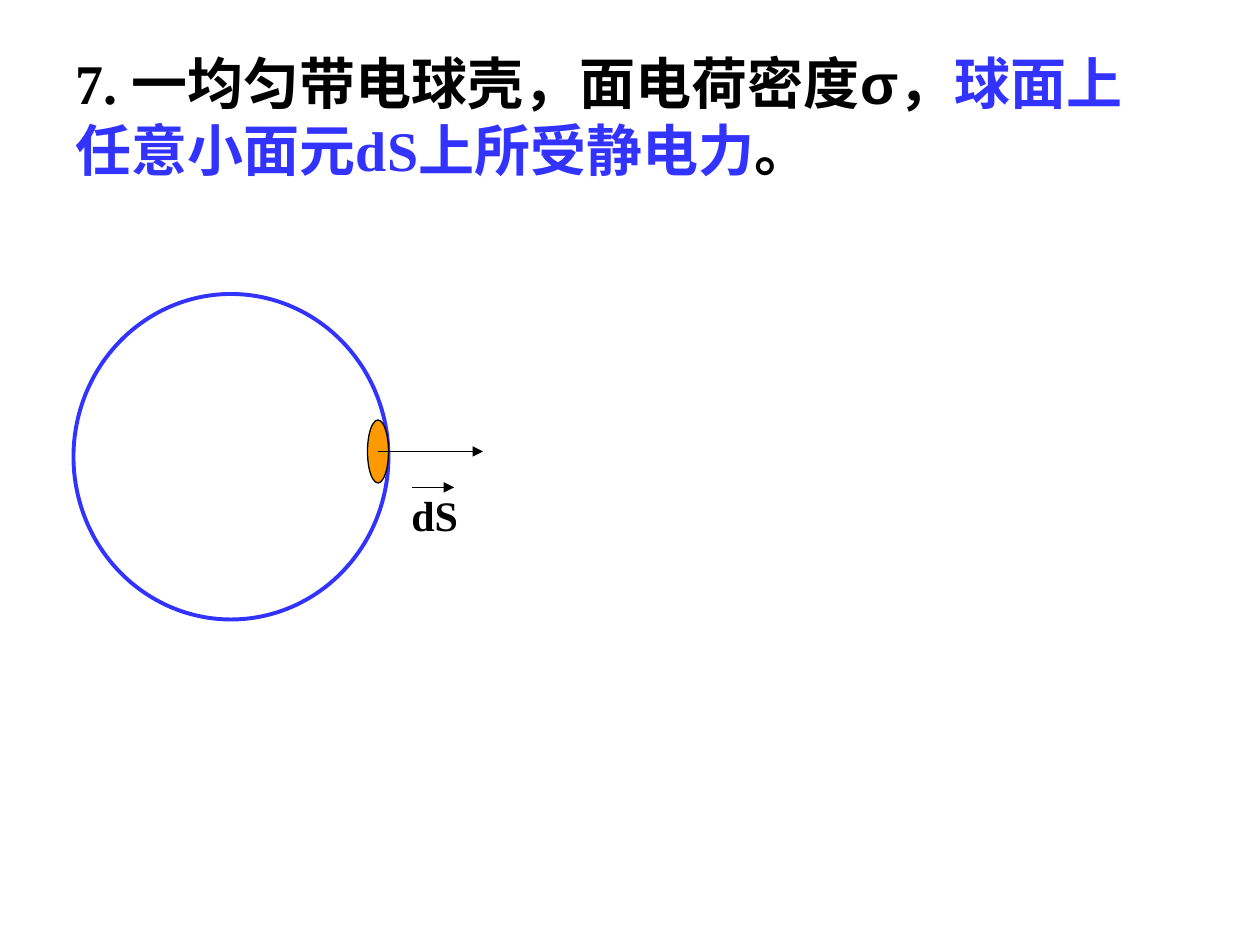
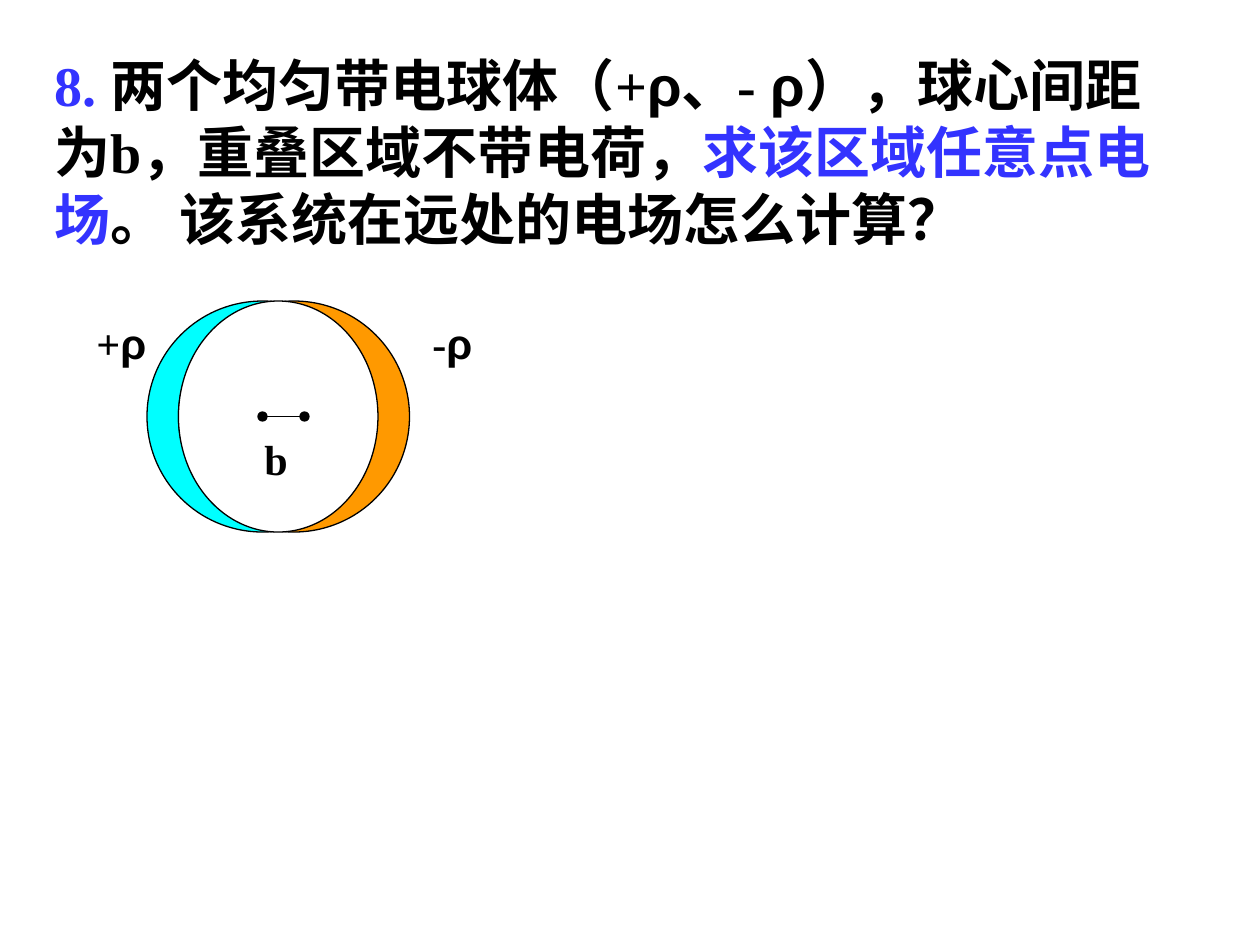
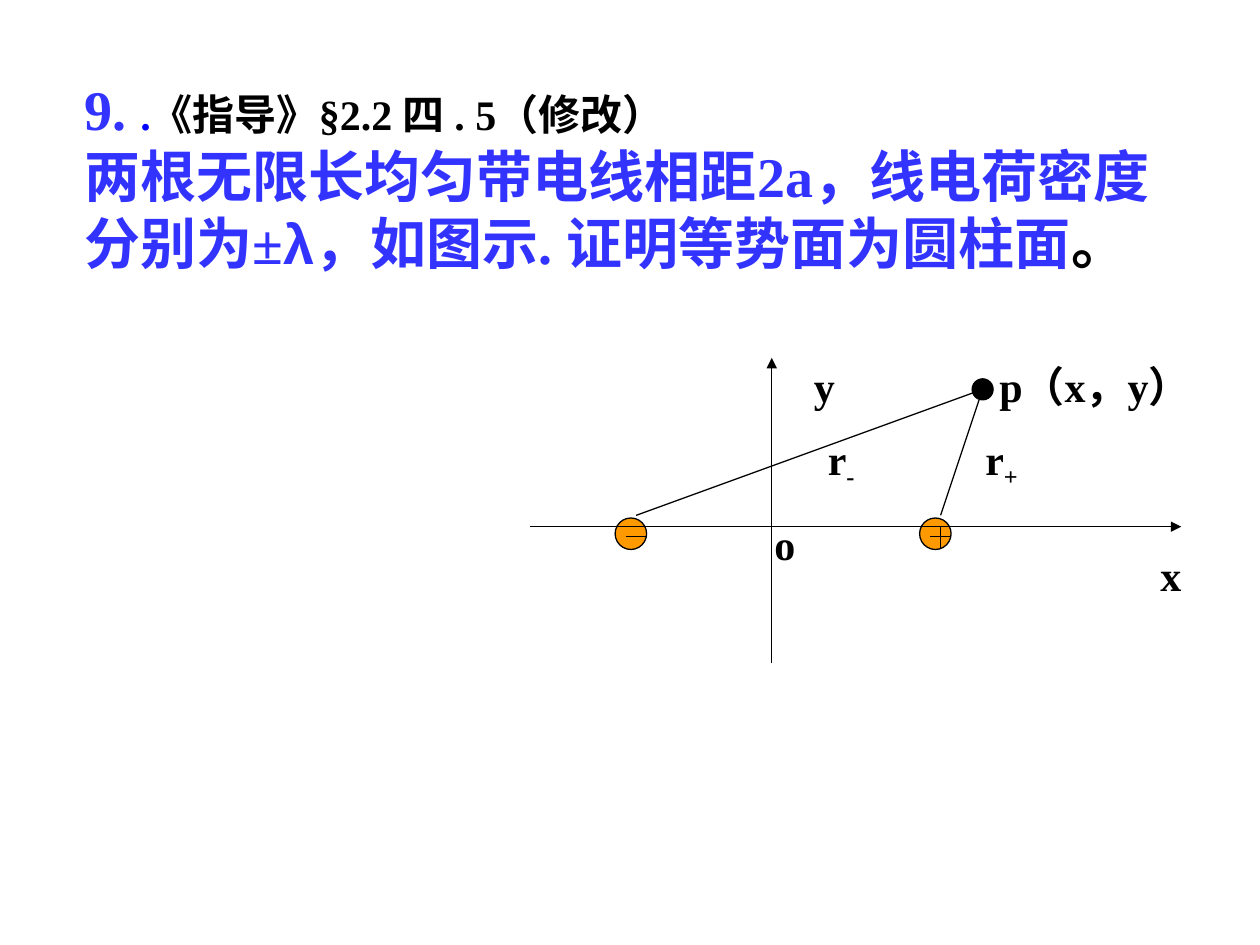
from lxml import etree
from pptx import Presentation
from pptx.dml.color import RGBColor
from pptx.enum.shapes import MSO_CONNECTOR, MSO_SHAPE
from pptx.enum.text import MSO_ANCHOR, MSO_AUTO_SIZE, PP_ALIGN
from pptx.oxml.ns import qn
from pptx.util import Pt

OVAL = MSO_SHAPE.OVAL
STRAIGHT = MSO_CONNECTOR.STRAIGHT
TOP = MSO_ANCHOR.TOP
LEFT = PP_ALIGN.LEFT
NO_FIT = MSO_AUTO_SIZE.NONE
GROW = MSO_AUTO_SIZE.SHAPE_TO_FIT_TEXT

COLORS = {
    "black": "000000",
    "blue": "3333FF",
    "deep blue": "0000FF",
    "orange": "FF9900",
    "cyan": "00FFFF",
    "white": "FFFFFF",
}
TITLE_SIZE, LABEL_SIZE = 32, 24
LATIN, GREEK = "Times New Roman", "Arial"
TITLE_FRAME = {"word_wrap": True, "auto_size": NO_FIT, "vertical_anchor": TOP}

BLUE = {"color": "blue"}
BLUE_GREEK = {"color": "blue", "name": GREEK}
BLACK_GREEK = {"name": GREEK}
SUBSCRIPT = {"baseline": "-25000"}
ARROW = {"tailEnd": "triangle"}
DOTS = {"headEnd": "oval", "tailEnd": "oval"}


def add_runs(paragraph, runs, size):
    """Add (text, format) runs; each format overrides the bold black default."""
    for text, changes in runs:
        style = {"name": LATIN, "size": size, "bold": True, "color": "black"} | changes
        run = paragraph.add_run()
        run.text = text
        run.font.color.rgb = RGBColor.from_string(COLORS[style.pop("color")])
        if "baseline" in style:
            run.font._element.set("baseline", style.pop("baseline"))
        style["size"] = Pt(style["size"])
        for attribute, value in style.items():
            setattr(run.font, attribute, value)


# Sphere shell with a surface element
shell_problem = {
    "title_box": (36, 24, 642, 84),
    "title": [[
        ("7. 一均匀带电球壳，面电荷密度", {}),
        ("σ", BLACK_GREEK),
        ("，", {}),
        ("球面上任意小面元dS上所受静电力", BLUE),
        ("。", {}),
    ]],
    # box, fill, line colour, line width
    "ellipses": [
        ((42, 168, 180, 186), None, "blue", 2.25),
        ((210, 240, 12, 36), "orange", "black", 0.75),
    ],
    # start and end, line ends
    "lines": [
        ((235.5, 278.5, 259.5, 278.5), ARROW),
        ((216, 258, 276, 258), ARROW),
    ],
    # box, wrap, runs
    "labels": [((228, 276, 41, 36), False, [("dS", {})])],
}

# Two overlapping charged balls
balls_problem = {
    "title_box": (24, 25, 660, 122),
    "title": [[
        ("8. ", BLUE),
        ("两个均匀带电球体（+", {}),
        ("ρ", BLACK_GREEK),
        ("、- ", {}),
        ("ρ", BLACK_GREEK),
        ("），球心间距为b，重叠区域不带电荷，", {}),
        ("求该区域任意点电场", BLUE),
        ("。 该系统在远处的电场怎么计算？", {}),
    ]],
    "ellipses": [
        ((84, 172, 132, 132), "cyan", "black", 0.75),
        ((102, 172, 132, 132), "orange", "black", 0.75),
        ((102, 172, 114, 132), "white", "black", 0.75),
    ],
    "lines": [((150, 238, 174, 238), DOTS)],
    "labels": [((144, 244, 27, 36), False, [("b", {})])] + [
        ((left, 178, 48, 36), True, [(sign, {}), ("ρ", BLACK_GREEK)])
        for left, sign in ((48, "+"), (240, "-"))
    ],
}

# Two line charges on the x axis, seen from point p
MINUS_X, PLUS_X = 351.5, 525.5
POINT_X, POINT_Y = 561.5, 222.5
wires_problem = {
    "title_box": (41, 39, 660, 122),
    "title": [
        [
            ("9. ", BLUE),
            (".", {"color": "deep blue", "size": LABEL_SIZE}),
            ("《指导》§2.2 四 . 5（修改）", {"size": LABEL_SIZE}),
        ],
        [
            ("两根无限长均匀带电线相距2a，线电荷密度 分别为±", BLUE),
            ("λ", BLUE_GREEK),
            ("，如图示. 证明等势面为圆柱面", BLUE),
            ("。", {}),
        ],
    ],
    "ellipses": [
        ((x, 296, 18, 18), "orange", "black", 0.75) for x in (MINUS_X, PLUS_X)
    ] + [((POINT_X - 6, POINT_Y - 6, 12, 12), "black", "black", 0.75)],
    "lines": [
        ((x + 6, 306.5, x + 18, 306.5), {}) for x in (MINUS_X, PLUS_X)
    ] + [
        ((PLUS_X + 12, 301, PLUS_X + 12, 313), {}),
        ((303, 301, 675, 301), ARROW),
        ((441, 379, 441, 204.5), ARROW),
    ] + [
        ((x + 12, 294.5, POINT_X, POINT_Y), {}) for x in (MINUS_X, PLUS_X)
    ],
    "labels": [
        ((458, 202.5, 26, 36), False, [("y", {})]),
        ((656, 310.5, 26, 36), False, [("x", {})]),
        ((564, 202.5, 153, 36), False, [("p（x，y）", {})]),
        ((556, 244, 33, 40), False, [("r", {}), ("+", SUBSCRIPT)]),
        ((466, 244, 30, 40), False, [("r", {}), ("-", SUBSCRIPT)]),
        ((435.5, 292.5, 36, 36), True, [("o", {})]),
    ],
}

prs = Presentation()
prs.slide_width, prs.slide_height = Pt(720), Pt(540)
title_only = prs.slide_layouts[5]

for problem in (shell_problem, balls_problem, wires_problem):
    slide = prs.slides.add_slide(title_only)
    title = slide.shapes.title
    title.left, title.top, title.width, title.height = map(Pt, problem["title_box"])
    for attribute, value in TITLE_FRAME.items():
        setattr(title.text_frame, attribute, value)
    for index, runs in enumerate(problem["title"]):
        frame = title.text_frame
        paragraph = frame.add_paragraph() if index else frame.paragraphs[0]
        paragraph.alignment = LEFT
        add_runs(paragraph, runs, TITLE_SIZE)

    for box, fill, outline, weight in problem["ellipses"]:
        ellipse = slide.shapes.add_shape(OVAL, *map(Pt, box))
        ellipse.shadow.inherit = False
        if fill:
            ellipse.fill.solid()
            ellipse.fill.fore_color.rgb = RGBColor.from_string(COLORS[fill])
        else:
            ellipse.fill.background()
        ellipse.line.color.rgb = RGBColor.from_string(COLORS[outline])
        ellipse.line.width = Pt(weight)

    for ends, markers in problem["lines"]:
        line = slide.shapes.add_connector(STRAIGHT, *map(Pt, ends))
        line.line.color.rgb = RGBColor.from_string(COLORS["black"])
        line.line.width = Pt(0.75)
        properties = line._element.spPr
        for tag, kind in markers.items():
            etree.SubElement(properties.find(qn("a:ln")), qn(f"a:{tag}"), type=kind)
        etree.SubElement(properties, qn("a:effectLst"))

    for box, wrap, runs in problem["labels"]:
        label = slide.shapes.add_textbox(*map(Pt, box)).text_frame
        label.word_wrap = wrap
        label.auto_size = GROW
        add_runs(label.paragraphs[0], runs, LABEL_SIZE)

prs.save("out.pptx")
